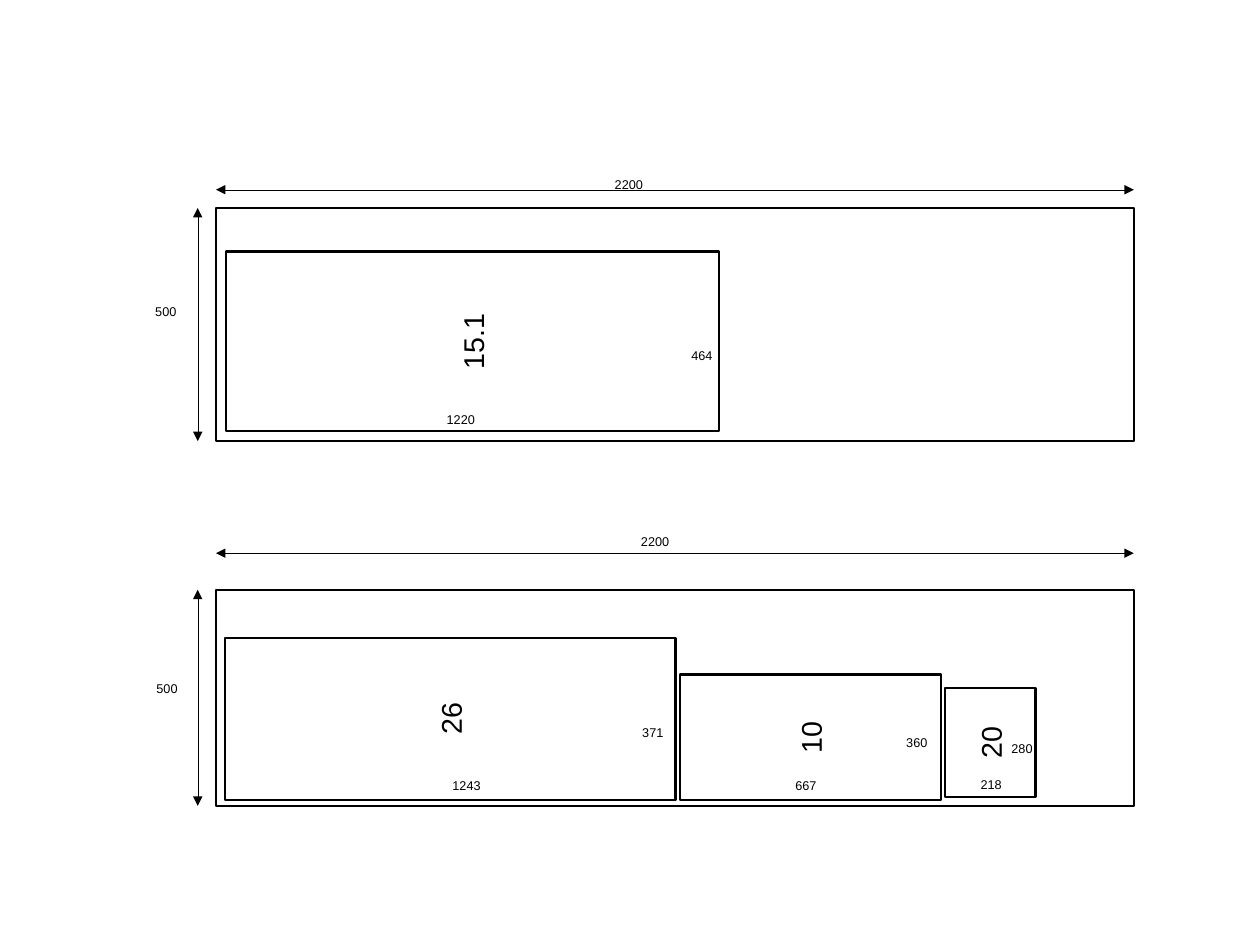
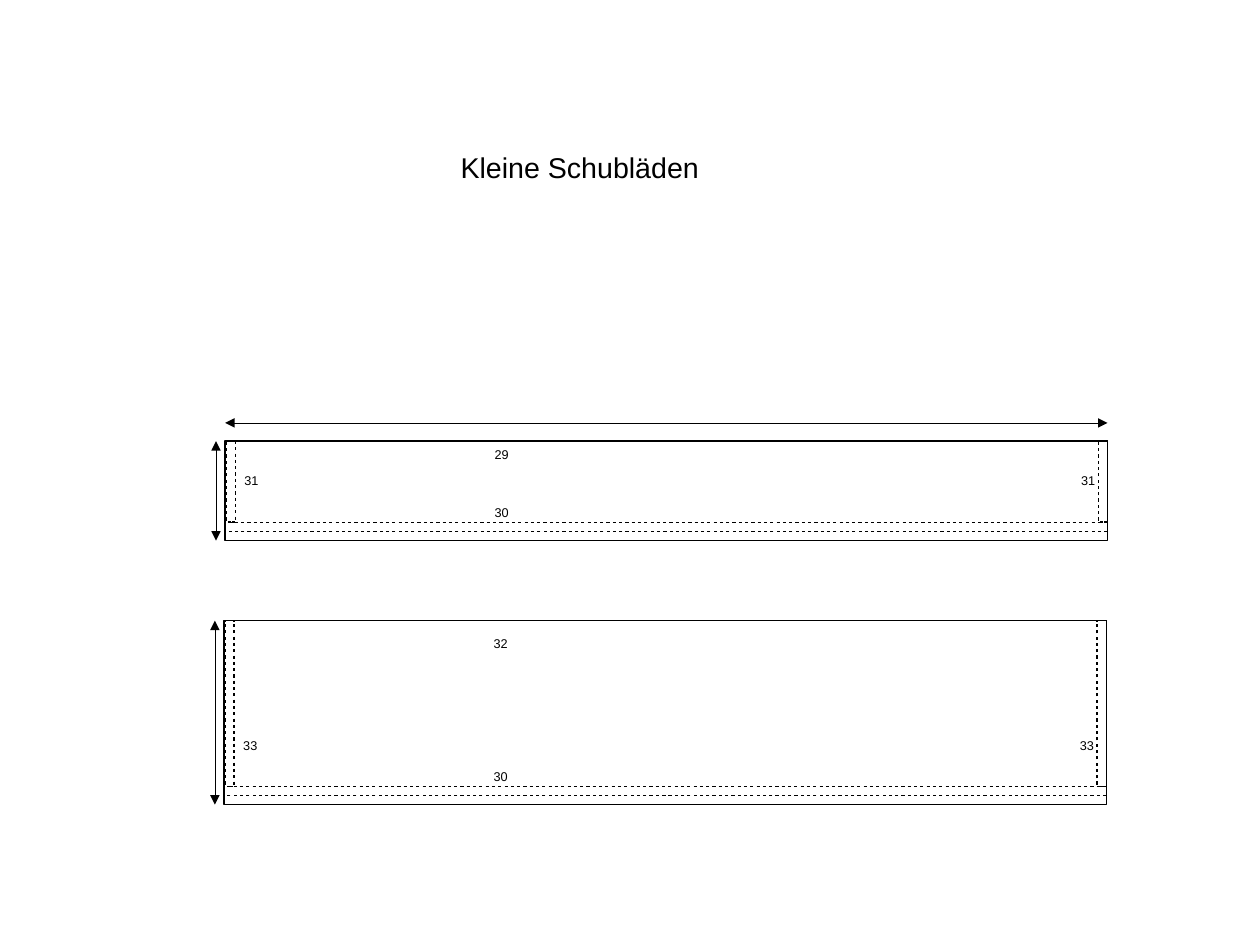
from dataclasses import dataclass

from lxml import etree
from pptx import Presentation
from pptx.dml.color import RGBColor
from pptx.enum.shapes import MSO_CONNECTOR, MSO_SHAPE
from pptx.enum.text import MSO_ANCHOR, MSO_AUTO_SIZE, PP_ALIGN
from pptx.oxml.ns import qn
from pptx.util import Inches, Pt

RECT = MSO_SHAPE.RECTANGLE
STRAIGHT = MSO_CONNECTOR.STRAIGHT
LEFT, CENTER = PP_ALIGN.LEFT, PP_ALIGN.CENTER
TOP, MIDDLE = MSO_ANCHOR.TOP, MSO_ANCHOR.MIDDLE
FIT, FIXED = MSO_AUTO_SIZE.SHAPE_TO_FIT_TEXT, MSO_AUTO_SIZE.NONE
TITLED, BLANK = 5, 6
INCH = 2.54  # centimetres


@dataclass(frozen=True)
class Theme:
    ink: RGBColor = RGBColor(0, 0, 0)
    font: str = "Arial"
    large: float = 18
    small: float = 8
    thick: float = 1.42
    thin: float = 1
    hair: float = 0.03


THEME = Theme()


def write(shape, text, size=THEME.small, align=LEFT, anchor=TOP,
          fit=FIXED, wrap=False, pad=(0.1, 0.05)):
    frame = shape.text_frame
    frame.margin_left = frame.margin_right = Inches(pad[0])
    frame.margin_top = frame.margin_bottom = Inches(pad[1])
    frame.word_wrap = wrap
    frame.auto_size = fit
    frame.vertical_anchor = anchor
    frame.text = text
    para = frame.paragraphs[0]
    para.alignment = align
    font = para.runs[0].font
    font.name, font.size = THEME.font, Pt(size)
    font.color.rgb = THEME.ink


class Deck:
    def __init__(self, width, height):
        self.file = Presentation()
        self.file.slide_width = Inches(width)
        self.file.slide_height = Inches(height)
        self.slide = None

    def page(self, layout):
        self.slide = self.file.slides.add_slide(self.file.slide_layouts[layout])

    def title(self, text, *box):
        shape = self.slide.shapes.title
        shape.left, shape.top, shape.width, shape.height = map(Inches, box)
        write(shape, text, size=THEME.large, wrap=True)

    def rect(self, left, top, width, height, weight=THEME.thin, dash=False):
        shape = self.slide.shapes.add_shape(
            RECT, *map(Inches, (left, top, width, height)))
        shape.shadow.inherit = False
        shape.fill.background()
        shape.line.color.rgb = THEME.ink
        shape.line.width = Pt(weight)
        if dash:
            line = shape.line._get_or_add_ln()
            dashes = etree.SubElement(line, qn("a:custDash"))
            etree.SubElement(dashes, qn("a:ds"), d="200000", sp="200000")
        return shape

    def board(self, left, top, width, height, text=""):
        """Draw a board turned on its side, so that its text reads upwards."""
        shift = (width - height) / 2
        shape = self.rect(left + shift, top - shift, height, width, THEME.thick)
        shape.rotation = 270
        if text:
            write(shape, text, size=THEME.large, align=CENTER,
                  anchor=MIDDLE, pad=(0.11, 0.06))

    def label(self, text, left, top):
        width = 0.2 + 0.065 * len(text)
        box = self.slide.shapes.add_textbox(
            *map(Inches, (left, top, width, 0.23)))
        write(box, text, fit=FIT)

    def arrow(self, *ends):
        """Draw a hairline with a head at both ends."""
        shape = self.slide.shapes.add_connector(STRAIGHT, *map(Inches, ends))
        shape.line.color.rgb = THEME.ink
        shape.line.width = Pt(THEME.hair)
        line = shape.line._get_or_add_ln()
        for end in ("a:headEnd", "a:tailEnd"):
            etree.SubElement(line, qn(end), type="triangle")
        etree.SubElement(shape._element.spPr, qn("a:effectLst"))

    def sheet(self, top, height, gauge):
        """Draw a raw sheet with its two dimension arrows."""
        left, width = 1.89, 8.03
        self.board(left, top, width, height)
        self.arrow(left, gauge, left + width, gauge)
        self.arrow(left - 0.16, top + height, left - 0.16, top)

    def drawer(self, left, top, height, names, front, side):
        """Draw a drawer; names are for its front, base and sides."""
        width, edge = 7.72, 0.08
        depth = height - 2 * edge
        self.rect(left, top, width, height)
        for part in ((left, top + depth, width, edge),
                     (left + 0.01, top, edge, depth),
                     (left + width - edge, top, edge, depth)):
            self.rect(*part, dash=True)
        self.arrow(left - edge, top + height, left - edge, top)
        self.label(names[0], left + 2.26, front)
        self.label(names[1], left + 2.26, top + depth - 0.2)
        for shift in (0.07, 7.39):
            self.label(names[2], left + shift, side)


def cuts(deck):
    deck.page(BLANK)
    deck.sheet(1.82, 2.04, 1.66)
    deck.sheet(5.16, 1.89, 4.84)
    for board in ((1.98, 2.2, 4.31, 1.57, "15.1"),
                  (1.97, 5.58, 3.94, 1.42, "26"),
                  (5.95, 5.9, 2.28, 1.1, "10"),
                  (8.27, 6.02, 0.79, 0.95, "20")):
        deck.board(*board)
    for label in (("2200", 5.28, 1.5), ("500", 1.26, 2.61),
                  ("1220", 3.81, 3.55), ("464", 5.95, 2.99),
                  ("2200", 5.51, 4.62), ("500", 1.27, 5.91),
                  ("1243", 3.86, 6.76), ("371", 5.52, 6.29),
                  ("667", 6.86, 6.76), ("360", 7.83, 6.38),
                  ("218", 8.48, 6.75), ("280", 8.75, 6.43)):
        deck.label(*label)


def drawers(deck):
    deck.page(TITLED)
    deck.title("Kleine Schubläden", 3.93, 1.26, 3.3, 0.38)
    deck.arrow(1.97, 3.7, 9.69, 3.7)
    deck.drawer(1.97, 3.86, 0.87, ("29", "30", "31"), front=3.86, side=4.09)
    deck.drawer(1.96, 5.43, 1.61, ("32", "30", "33"), front=5.51, side=6.41)


def main():
    deck = Deck(28 / INCH, 21 / INCH)
    cuts(deck)
    drawers(deck)
    deck.file.save("out.pptx")


if __name__ == "__main__":
    main()
